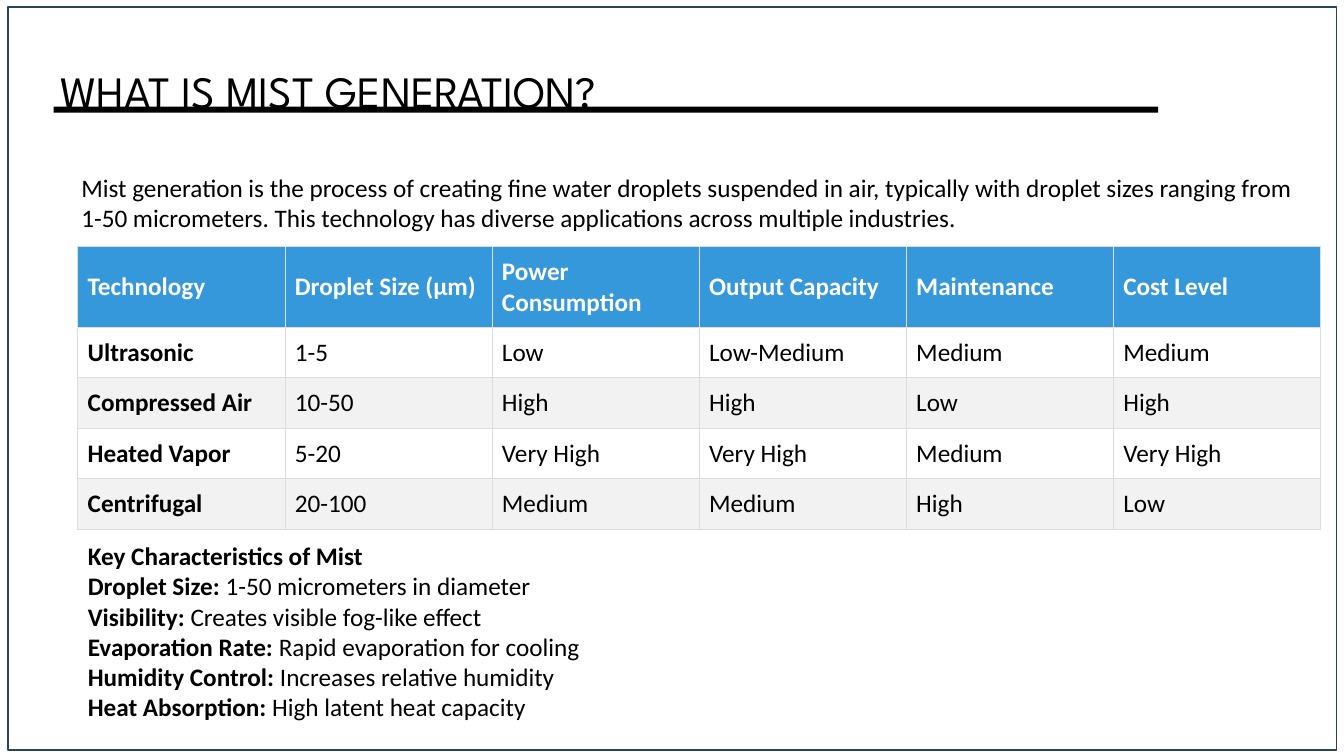
from lxml.etree import SubElement
from pptx import Presentation
from pptx.dml.color import RGBColor
from pptx.enum.shapes import MSO_SHAPE
from pptx.enum.text import MSO_ANCHOR, MSO_AUTO_SIZE, PP_ALIGN
from pptx.oxml.ns import qn
from pptx.util import Cm, Pt

BLACK = RGBColor(0x00, 0x00, 0x00)
WHITE = RGBColor(0xFF, 0xFF, 0xFF)
NAVY = RGBColor(0x28, 0x44, 0x5D)
BLUE = RGBColor(0x34, 0x98, 0xDB)
BAND = RGBColor(0xF2, 0xF2, 0xF2)
BORDER = RGBColor(0xDD, 0xDD, 0xDD)

INTRO = (
    "Mist generation is the process of creating fine water droplets suspended "
    "in air, typically with droplet sizes ranging from 1-50 micrometers. This "
    "technology has diverse applications across multiple industries."
)
TECHNOLOGIES = [
    ("Technology", "Droplet Size (μm)", "Power Consumption",
     "Output Capacity", "Maintenance", "Cost Level"),
    ("Ultrasonic", "1-5", "Low", "Low-Medium", "Medium", "Medium"),
    ("Compressed Air", "10-50", "High", "High", "Low", "High"),
    ("Heated Vapor", "5-20", "Very High", "Very High", "Medium", "Very High"),
    ("Centrifugal", "20-100", "Medium", "Medium", "High", "Low"),
]
CHARACTERISTICS = [
    ("Key Characteristics of Mist", ""),
    ("Droplet Size:", " 1-50 micrometers in diameter"),
    ("Visibility:", " Creates visible fog-like effect"),
    ("Evaporation Rate:", " Rapid evaporation for cooling"),
    ("Humidity Control:", " Increases relative humidity"),
    ("Heat Absorption:", " High latent heat capacity"),
]


def set_font(paragraph, name="Calibri", size=18, color=BLACK, bold=None):
    font = paragraph.font
    font.name = name
    font.size = Pt(size)
    font.color.rgb = color
    font.bold = bold


def place(shape, left, top, width, height):
    shape.left, shape.top = Cm(left), Cm(top)
    shape.width, shape.height = Cm(width), Cm(height)


def add_rectangle(slide, left, top, width, height, fill, line=None):
    shape = slide.shapes.add_shape(
        MSO_SHAPE.RECTANGLE, Cm(left), Cm(top), Cm(width), Cm(height))
    shape.shadow.inherit = False
    shape.fill.solid()
    shape.fill.fore_color.rgb = fill
    if line is None:
        shape.line.fill.background()
    else:
        shape.line.color.rgb = line
        shape.line.width = Pt(1)
    return shape


def fill_title(title, text):
    place(title, 1.52, 1.17, 24.92, 1.8)
    frame = title.text_frame
    frame.text = text
    frame.auto_size = MSO_AUTO_SIZE.NONE
    frame.vertical_anchor = MSO_ANCHOR.TOP
    frame.margin_left = frame.margin_right = 0
    frame.margin_top = frame.margin_bottom = 0
    paragraph = frame.paragraphs[0]
    paragraph.alignment = PP_ALIGN.LEFT
    paragraph.line_spacing = 1.32
    set_font(paragraph, "League Spartan", 32)


def add_intro(slide, text):
    box = slide.shapes.add_textbox(Cm(1.8), Cm(4.22), Cm(31.06), Cm(1.8))
    box.text_frame.word_wrap = True
    box.text_frame.text = text
    set_font(box.text_frame.paragraphs[0])


def set_borders(cell):
    properties = cell._tc.get_or_add_tcPr()
    for side in ("a:lnL", "a:lnR", "a:lnT", "a:lnB"):
        line = SubElement(properties, qn(side), w=str(Pt(0.6)))
        fill = SubElement(line, qn("a:solidFill"))
        SubElement(fill, qn("a:srgbClr"), val=str(BORDER))


def format_cell(cell, text, fill, color, bold):
    set_borders(cell)
    cell.fill.solid()
    cell.fill.fore_color.rgb = fill
    cell.vertical_anchor = MSO_ANCHOR.MIDDLE
    cell.margin_left = cell.margin_right = Cm(0.25)
    cell.margin_top = cell.margin_bottom = Cm(0.25)
    cell.text = text
    set_font(cell.text_frame.paragraphs[0], color=color, bold=bold)


def add_technology_table(slide, rows):
    table = slide.shapes.add_table(
        len(rows), len(rows[0]), Cm(1.96), Cm(6.22), Cm(31.32), Cm(7.11)).table
    table.horz_banding = False
    for row_index, values in enumerate(rows):
        header = row_index == 0
        table.rows[row_index].height = Cm(2.03 if header else 1.27)
        fill = BLUE if header else (BAND, WHITE)[row_index % 2]
        for column_index, text in enumerate(values):
            format_cell(table.cell(row_index, column_index), text, fill,
                        WHITE if header else BLACK,
                        header or column_index == 0)


def remove_bullet(paragraph):
    properties = paragraph._p.get_or_add_pPr()
    properties.set("marL", "0")
    properties.set("indent", "0")
    SubElement(properties, qn("a:buNone"))


def fill_characteristics(body, items):
    place(body, 1.96, 13.49, 16.94, 4.88)
    frame = body.text_frame
    frame.auto_size = MSO_AUTO_SIZE.NONE
    for index, (label, detail) in enumerate(items):
        paragraph = frame.add_paragraph() if index else frame.paragraphs[0]
        remove_bullet(paragraph)
        paragraph.space_before = Pt(0)
        set_font(paragraph)
        run = paragraph.add_run()
        run.text = label
        run.font.bold = True
        if detail:
            paragraph.add_run().text = detail


def main():
    presentation = Presentation()
    presentation.slide_width = Cm(33.87)
    presentation.slide_height = Cm(19.05)
    slide = presentation.slides.add_slide(presentation.slide_layouts[1])
    title, body = slide.placeholders

    border = add_rectangle(slide, 0.2, 0.18, 33.48, 18.72, WHITE, NAVY)
    title.element.addprevious(border.element)
    fill_title(title, "WHAT IS MIST GENERATION?")
    add_rectangle(slide, 1.35, 2.69, 27.84, 0.15, BLACK)
    add_intro(slide, INTRO)
    add_technology_table(slide, TECHNOLOGIES)
    fill_characteristics(body, CHARACTERISTICS)

    presentation.save("out.pptx")


if __name__ == "__main__":
    main()
